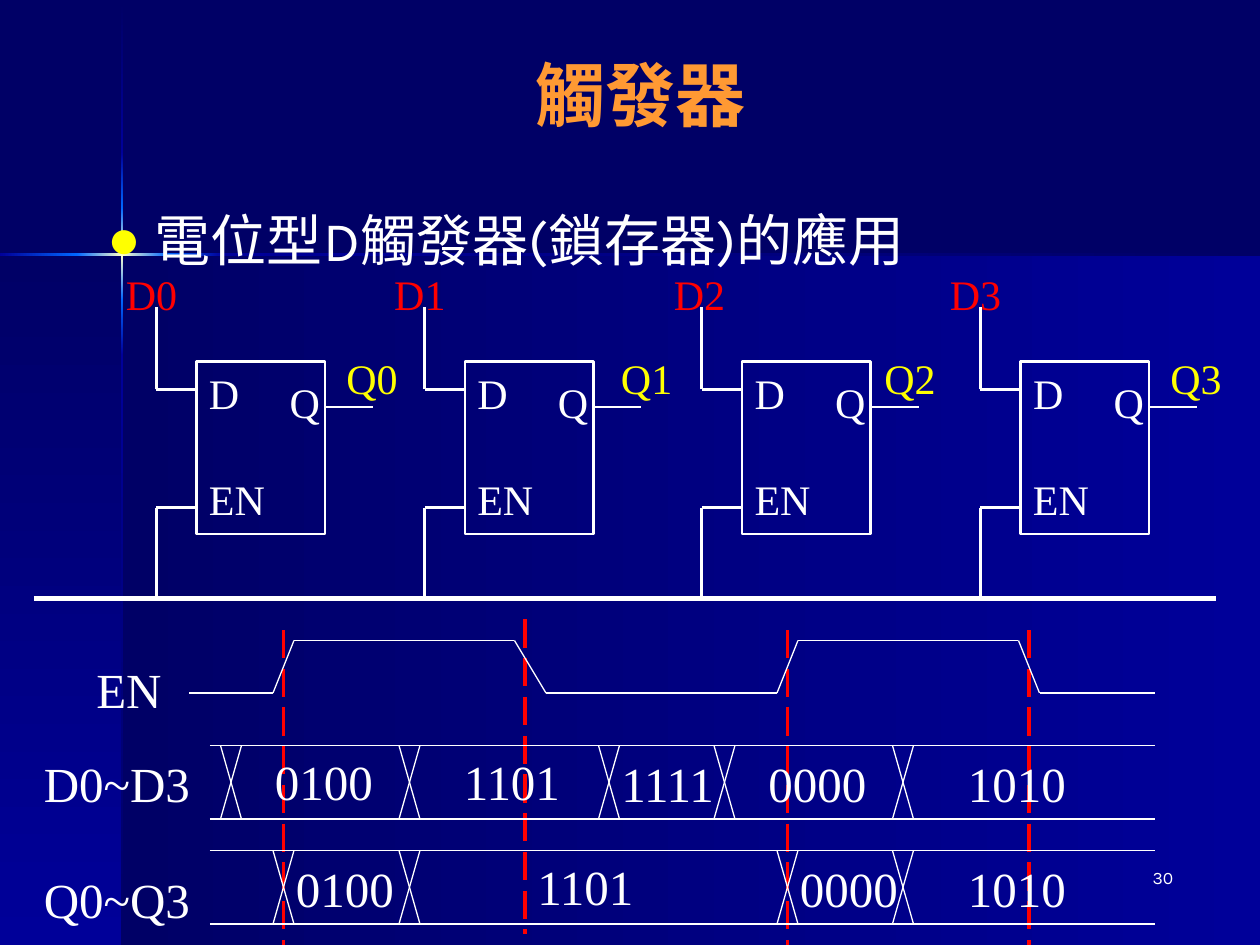
import itertools

import pptx
import pptx.dml.color
import pptx.enum.dml
import pptx.enum.shapes
import pptx.enum.text
import pptx.oxml
import pptx.oxml.ns
import pptx.util

RGBColor = pptx.dml.color.RGBColor
Inches, Pt = pptx.util.Inches, pptx.util.Pt
PP_ALIGN = pptx.enum.text.PP_ALIGN

NAVY = RGBColor(0x00, 0x00, 0x66)
BLUE = RGBColor(0x00, 0x00, 0x99)
BRIGHT = RGBColor(0x00, 0x66, 0xFF)
CREAM = RGBColor(0xFF, 0xFF, 0xCC)
WHITE = RGBColor(0xFF, 0xFF, 0xFF)
YELLOW = RGBColor(0xFF, 0xFF, 0x00)
RED = RGBColor(0xFF, 0x00, 0x00)
ORANGE = RGBColor(0xFF, 0x99, 0x33)
SANS, SERIF = "Karla", "Times New Roman"

TITLE = "觸發器"
BULLET = "電位型D觸發器(鎖存器)的應用"
PAGE = "30"

# Background: the two beams cross at (BEAM_X, BEAM_Y)
BEAM_X, BEAM_Y, BEAM = 0.97, 2.02, 0.02
BEAM_DOWN = [(0.01, NAVY), (1.21, BLUE), (1.65, BRIGHT), (2.02, CREAM),
             (2.38, BRIGHT), (2.82, BLUE), (7.5, NAVY)]
BEAM_ACROSS = [(0, BLUE), (0.61, BRIGHT), (0.97, CREAM), (1.33, BRIGHT),
               (1.77, BLUE), (10, NAVY)]

# Latches: left of the block, of the D label and of the Q label, in inches
LATCHES = [(1.56, 0.9, 2.65), (3.69, 3.03, 4.83), (5.89, 5.25, 6.92), (8.1, 7.44, 9.19)]
LATCH_TOP, LATCH_W, LATCH_H = 2.87, 1.02, 1.37
PINS = [("D", 0, 0), ("EN", 0, 0.84), ("Q", 0.64, 0.07)]
D_Y, Q_Y, EN_Y, D_TOP, BUS_Y, STUB = 3.09, 3.23, 4.03, 2.44, 4.75, 0.32

# Timing chart: a grid of twelfths of an inch
GRID = 1 / 12
EDGES = [(98, 60), (75, 60), (50, 59), (27, 60)]
ENABLE = [(18, 66), (26, 66), (28, 61), (49, 61), (52, 66),
          (74, 66), (76, 61), (97, 61), (99, 66), (110, 66)]
BUS_LEFT, BUS_RIGHT, BUS_H = 20, 110, 7
BUSES = [  # top, crossings, values as (text, left, top)
    (71, [22, 39, 58, 69, 86],
     [("0100", 25, 71), ("1101", 43, 71), ("1111", 58, 71.2), ("0000", 72, 71.2), ("1010", 91, 71.2)]),
    (81, [27, 39, 75, 86],
     [("0100", 27, 81.2), ("1101", 50, 81), ("0000", 75, 81.2), ("1010", 91, 81.2)]),
]
ROW_LABELS = [("EN", 8, 62.2), ("D0~D3", 3, 71.2), ("Q0~Q3", 3, 82.2)]

prs = pptx.Presentation()
prs.slide_width, prs.slide_height = Inches(10), Inches(7.5)
s = prs.slides.add_slide(prs.slide_layouts[1])
s.background.fill.solid()
s.background.fill.fore_color.rgb = NAVY


def rect(x, y, w, h):
    sp = s.shapes.add_shape(pptx.enum.shapes.MSO_SHAPE.RECTANGLE, *map(Inches, (x, y, w, h)))
    sp.shadow.inherit = False
    return sp


def gradient(x, y, w, h, start, end, down=False):
    sp = rect(x, y, w, h)
    sp.line.fill.background()
    sp.fill.gradient()
    sp.fill.gradient_angle = 270 if down else 0
    for stop, position, color in zip(sp.fill.gradient_stops, (0, 1), (start, end)):
        stop.position, stop.color.rgb = position, color


def line(x1, y1, x2, y2, width=1.5, color=WHITE):
    c = s.shapes.add_connector(pptx.enum.shapes.MSO_CONNECTOR.STRAIGHT,
                               *map(Inches, (x1, y1, x2, y2)))
    c.line.width, c.line.color.rgb = Pt(width), color
    c._element.spPr.append(pptx.oxml.parse_xml(
        f'<a:effectLst {pptx.oxml.ns.nsdecls("a")}/>'))
    return c


def grid_line(x1, y1, x2, y2, **style):
    return line(*(v * GRID for v in (x1, y1, x2, y2)), **style)


def write(tf, content, size, color, font, align=PP_ALIGN.LEFT, bold=False):
    tf.word_wrap = True
    tf.auto_size = pptx.enum.text.MSO_AUTO_SIZE.NONE
    p = tf.paragraphs[0]
    p.alignment, p.space_before = align, Pt(0)
    r = p.add_run()
    r.text = content
    for name, value in {"name": font, "size": Pt(size), "bold": bold}.items():
        setattr(r.font, name, value)
    r.font.color.rgb = color
    return p


def text(content, x, y, w, h=0.5, size=24, color=WHITE, font=SERIF, align=PP_ALIGN.LEFT):
    box = s.shapes.add_textbox(*map(Inches, (x, y, w, h)))
    write(box.text_frame, content, size, color, font, align)


def grid_text(content, x, y, w=15):
    text(content, x * GRID, y * GRID, w * GRID, 0.57, size=28)


def place(ph, x, y, w, h):
    """Move a placeholder and bring it to the front."""
    ph.left, ph.top, ph.width, ph.height = map(Inches, (x, y, w, h))
    s.shapes._spTree.append(ph._element)
    return ph.text_frame


# Background
gradient(BEAM_X, BEAM_Y, 10 - BEAM_X, 7.5 - BEAM_Y, NAVY, BLUE)
gradient(0, BEAM_Y, BEAM_X, 7.5 - BEAM_Y, NAVY, BLUE, down=True)
for (y1, start), (y2, end) in itertools.pairwise(BEAM_DOWN):
    gradient(BEAM_X - BEAM / 2, y1, BEAM, y2 - y1, start, end, down=True)
for (x1, start), (x2, end) in itertools.pairwise(BEAM_ACROSS):
    gradient(x1, BEAM_Y - BEAM / 2, x2 - x1, BEAM, start, end)

text(PAGE, 7.33, 6.83, 2.08, size=10, font=SANS, align=PP_ALIGN.RIGHT)
for x, top in EDGES:
    edge = grid_line(x, top, x, top + 30, width=2, color=RED)
    edge.line.dash_style = pptx.enum.dml.MSO_LINE.LONG_DASH

# Title and bullet
tf = place(s.shapes.title, 0.5, 0.33, 9.17, 0.83)
tf.vertical_anchor = pptx.enum.text.MSO_ANCHOR.MIDDLE
write(tf, TITLE, 40, ORANGE, SANS, PP_ALIGN.CENTER, bold=True)

tf = place(s.placeholders[1], 0.75, 1.58, 8.67, 5.08)
pPr = write(tf, BULLET, 32, WHITE, SANS)._p.get_or_add_pPr()
pPr.set("marL", str(Inches(0.38)))
pPr.set("indent", str(-Inches(0.38)))
for bullet in (f'<a:buClr {{}}><a:srgbClr val="{YELLOW}"/></a:buClr>', '<a:buChar {} char="●"/>'):
    pPr.append(pptx.oxml.parse_xml(bullet.format(pptx.oxml.ns.nsdecls("a"))))

# Latches on the shared enable line
for i, (x, d_left, q_left) in enumerate(LATCHES):
    block = rect(x, LATCH_TOP, LATCH_W, LATCH_H)
    block.fill.background()
    block.line.color.rgb, block.line.width = WHITE, Pt(1.5)
    for pin, dx, dy in PINS:
        text(pin, x + dx, LATCH_TOP + dy, 0.7 if pin == "EN" else 0.45)
    for y, end in ((D_Y, D_TOP), (EN_Y, BUS_Y)):
        line(x, y, x - STUB, y)
        line(x - STUB, y, x - STUB, end)
    line(x + LATCH_W, Q_Y, x + LATCH_W + 0.38, Q_Y)
    text(f"Q{i}", q_left, 2.75, 0.68, color=YELLOW)
    text(f"D{i}", d_left, 2.08, 0.68, color=RED)
line(0.27, BUS_Y, 9.65, BUS_Y, width=3)

# Timing chart
for start, end in itertools.pairwise(ENABLE):
    grid_line(*start, *end, width=0.75)
for label, x, y in ROW_LABELS:
    grid_text(label, x, y, w=20 - x)
for top, crossings, values in BUSES:
    bottom = top + BUS_H
    for y in (top, bottom):
        grid_line(BUS_LEFT, y, BUS_RIGHT, y, width=0.75)
    for x, side in itertools.product(crossings, (1, -1)):
        grid_line(x + side, top, x - side, bottom, width=0.75)
    for value in values:
        grid_text(*value)

prs.save("out.pptx")
